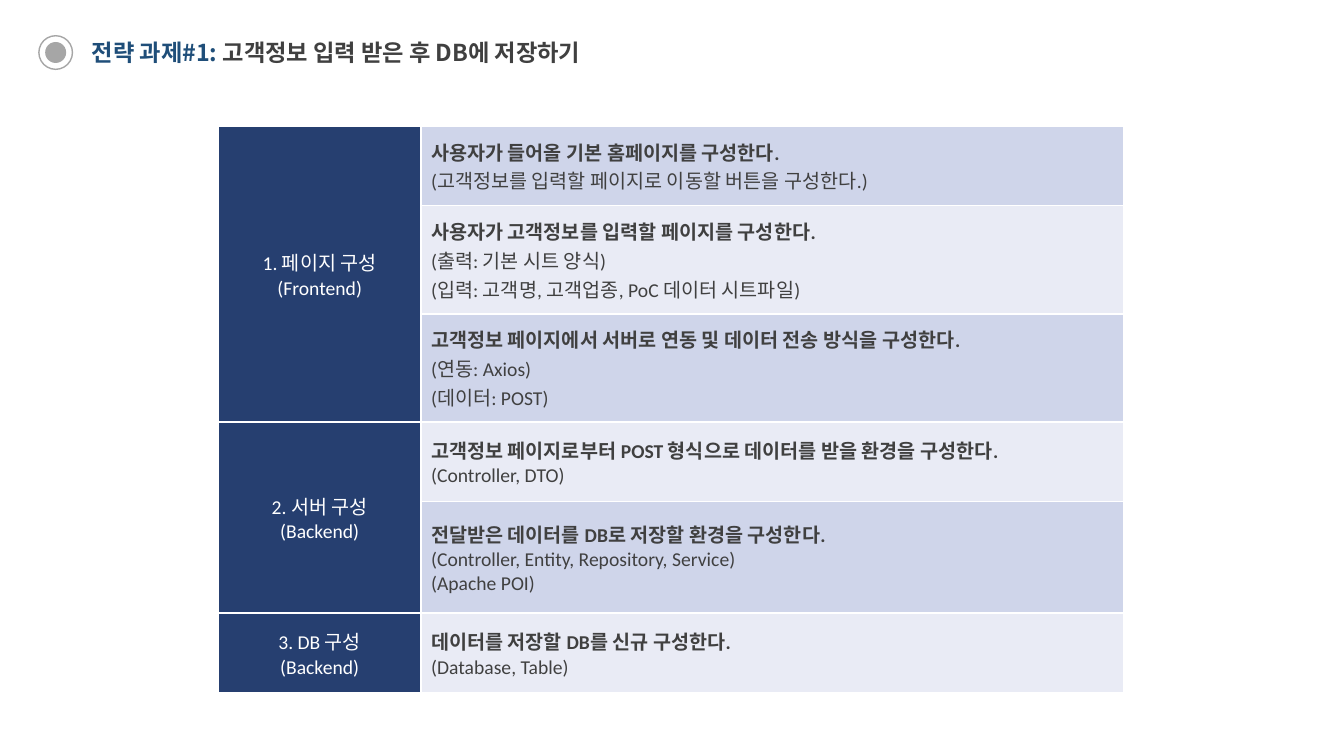
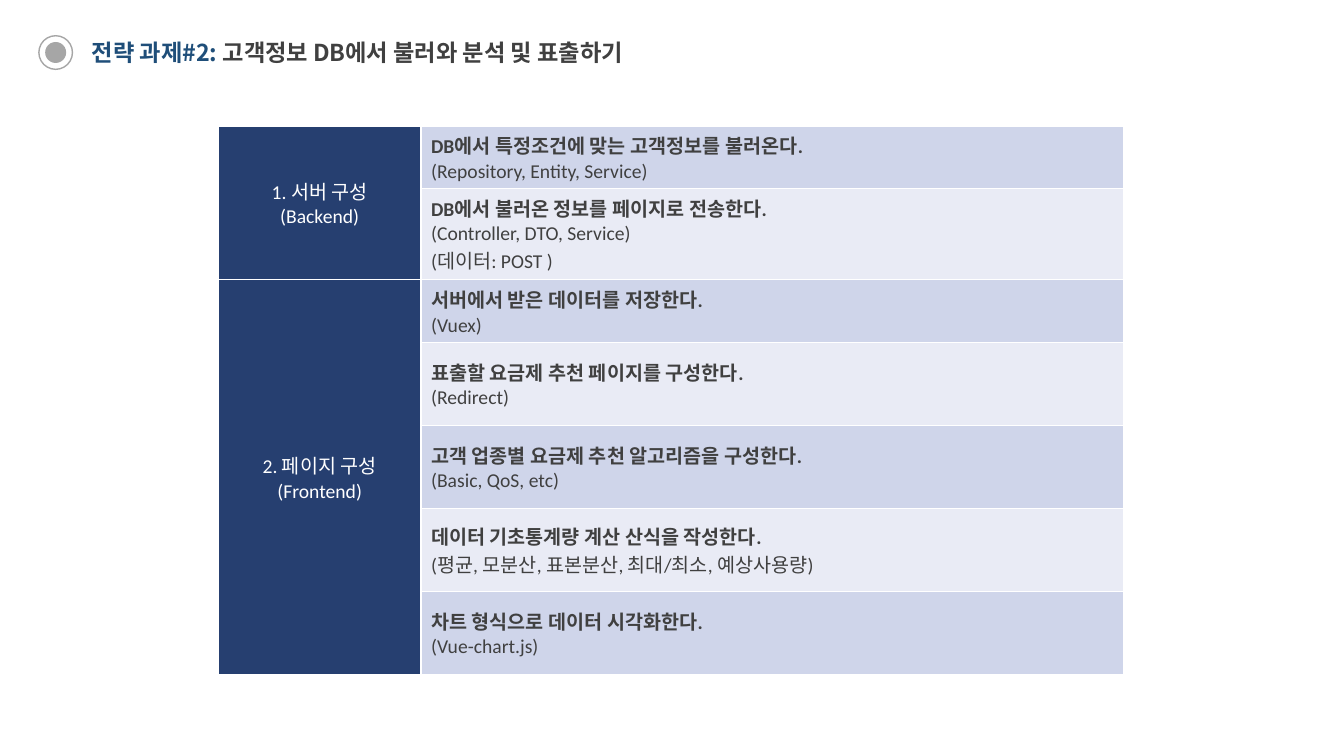
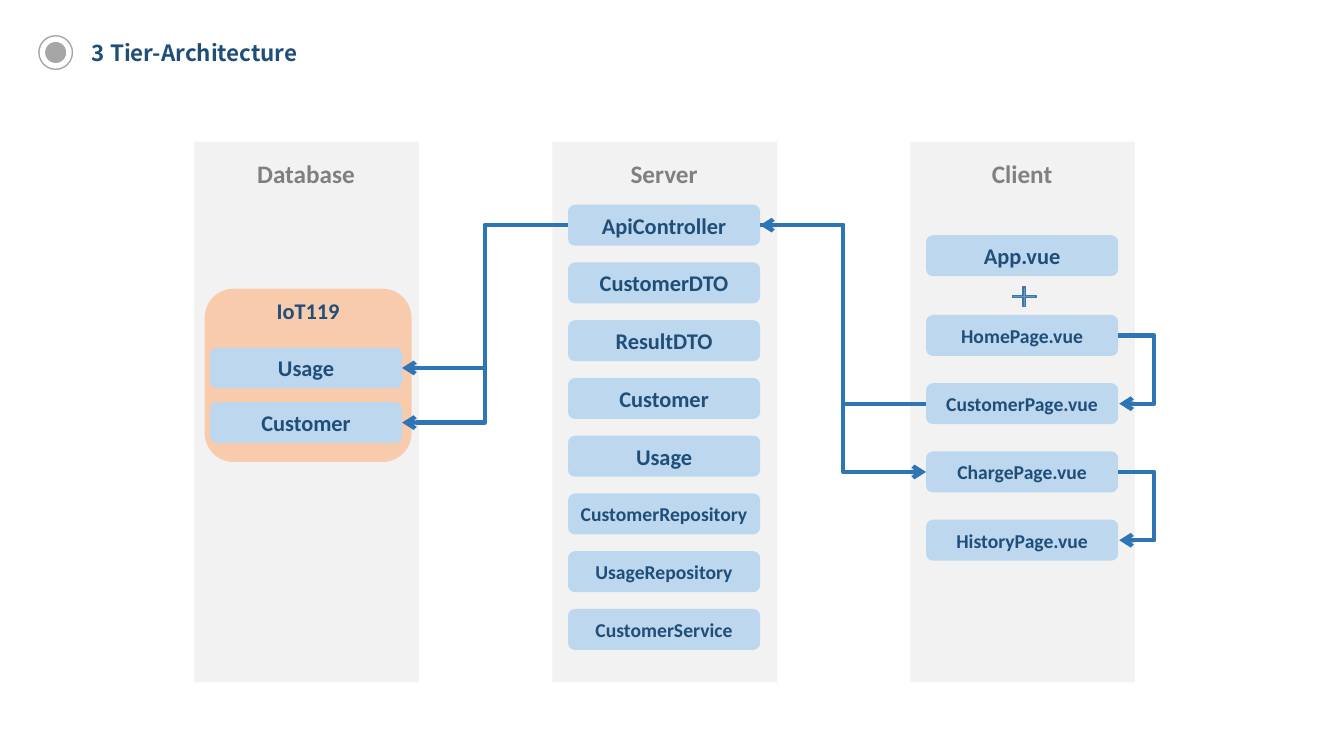
from lxml.etree import SubElement
from pptx import Presentation
from pptx.dml.color import RGBColor
from pptx.enum.shapes import MSO_CONNECTOR, MSO_SHAPE as SHAPE
from pptx.enum.text import MSO_ANCHOR as ANCHOR, MSO_AUTO_SIZE, PP_ALIGN as ALIGN
from pptx.oxml.ns import qn
from pptx.util import Pt

PX = 9525
KOREAN, LATIN = "Noto Sans CJK KR", "Calibri"
COLORS = {
    "navy": "1F4E79", "text": "404040", "white": "FFFFFF", "marker": "A6A6A6",
    "label": "263F70", "band_dark": "CFD5EA", "band_light": "E9EBF5",
    "panel": "F2F2F2", "heading": "808080", "schema": "F8CBAD", "card": "BDD7EE",
    "arrow": "2E75B6", "plus": "5B9BD5", "plus_line": "43739E",
}
RGB = {name: RGBColor.from_string(value) for name, value in COLORS.items()}


def style(run, size, color, bold=False, font=LATIN):
    run.font.size, run.font.bold, run.font.name = Pt(size), bold, font
    run.font.color.rgb = RGB[color]
    SubElement(run.font._element, qn("a:ea"), typeface=KOREAN)


def add_box(slide, kind, box, fill=None, line=None, text="", size=16, color="navy"):
    shape = slide.shapes.add_shape(kind, *(n * PX for n in box))
    shape.shadow.inherit = False
    if fill:
        shape.fill.solid()
        shape.fill.fore_color.rgb = RGB[fill]
    else:
        shape.fill.background()
    if line:
        shape.line.color.rgb, shape.line.width = RGB[line], Pt(1)
    else:
        shape.line.fill.background()
    if text:
        frame = shape.text_frame
        frame.text, frame.word_wrap = text, False
        frame.margin_top = frame.margin_bottom = 0
        frame.vertical_anchor = ANCHOR.MIDDLE
        frame.paragraphs[0].alignment = ALIGN.CENTER
        style(frame.paragraphs[0].runs[0], size, color, bold=True)
    return shape


prs = Presentation()
prs.slide_width, prs.slide_height = 1280 * PX, 720 * PX

# Titles and round markers on every slide
TITLES = [
    (16.6, [("전략 과제#1: ", "navy"), ("고객정보 입력 받은 후 DB에 저장하기", "text")]),
    (16.6, [("전략 과제#2: ", "navy"), ("고객정보 DB에서 불러와 분석 및 표출하기", "text")]),
    (16, [("3 Tier-Architecture", "navy")]),
]
slides = []
for size, parts in TITLES:
    slide = prs.slides.add_slide(prs.slide_layouts[5])
    slides.append(slide)
    add_box(slide, SHAPE.OVAL, (37, 34, 32, 32), line="marker")
    add_box(slide, SHAPE.OVAL, (43, 40, 20, 20), fill="marker")
    title = slide.shapes.title
    title.left, title.top, title.width, title.height = (n * PX for n in (78, 32, 580, 36))
    frame = title.text_frame
    frame.auto_size, frame.vertical_anchor = MSO_AUTO_SIZE.NONE, ANCHOR.MIDDLE
    frame.paragraphs[0].alignment = ALIGN.LEFT
    for text, color in parts:
        run = frame.paragraphs[0].add_run()
        run.text = text
        style(run, size, color, bold=True, font=KOREAN)

# Task tables: each stage has a label and its tasks, a task has a row height and lines
TASK_TABLES = [
    [
        ("1. 페이지 구성\n(Frontend)", [
            (76, "사용자가 들어올 기본 홈페이지를 구성한다.\n"
                 "(고객정보를 입력할 페이지로 이동할 버튼을 구성한다.)"),
            (103, "사용자가 고객정보를 입력할 페이지를 구성한다.\n"
                  "(출력: 기본 시트 양식)\n(입력: 고객명, 고객업종, PoC 데이터 시트파일)"),
            (103, "고객정보 페이지에서 서버로 연동 및 데이터 전송 방식을 구성한다.\n"
                  "(연동: Axios)\n(데이터: POST)"),
        ]),
        ("2. 서버 구성\n(Backend)", [
            (76, "고객정보 페이지로부터 POST 형식으로 데이터를 받을 환경을 구성한다.\n"
                 "(Controller, DTO)"),
            (106, "전달받은 데이터를 DB로 저장할 환경을 구성한다.\n"
                  "(Controller, Entity, Repository, Service)\n(Apache POI)"),
        ]),
        ("3. DB 구성\n(Backend)", [
            (76, "데이터를 저장할 DB를 신규 구성한다.\n(Database, Table)"),
        ]),
    ],
    [
        ("1. 서버 구성\n(Backend)", [
            (59, "DB에서 특정조건에 맞는 고객정보를 불러온다.\n(Repository, Entity, Service)"),
            (87, "DB에서 불러온 정보를 페이지로 전송한다.\n"
                 "(Controller, DTO, Service)\n(데이터: POST )"),
        ]),
        ("2. 페이지 구성\n(Frontend)", [
            (59, "서버에서 받은 데이터를 저장한다.\n(Vuex)"),
            (79, "표출할 요금제 추천 페이지를 구성한다.\n(Redirect)"),
            (79, "고객 업종별 요금제 추천 알고리즘을 구성한다.\n(Basic, QoS, etc)"),
            (79, "데이터 기초통계량 계산 산식을 작성한다.\n"
                 "(평균, 모분산, 표본분산, 최대/최소, 예상사용량)"),
            (79, "차트 형식으로 데이터 시각화한다.\n(Vue-chart.js)"),
        ]),
    ],
]
for slide, stages in zip(slides, TASK_TABLES):
    tasks = [task for _, stage_tasks in stages for task in stage_tasks]
    total = sum(height for height, _ in tasks)
    table = slide.shapes.add_table(len(tasks), 2, 208 * PX, 120 * PX, 862 * PX, total * PX).table
    table.first_row = table.horz_banding = False
    table.columns[0].width, table.columns[1].width = 193 * PX, 669 * PX

    # Cell texts and fills
    labels = {}
    first = 0
    for label, stage_tasks in stages:
        labels[first] = label
        last = first + len(stage_tasks) - 1
        if last > first:
            table.cell(first, 0).merge(table.cell(last, 0))
        first = last + 1
    for row, (height, task) in enumerate(tasks):
        table.rows[row].height = height * PX
        band = "band_light" if row % 2 else "band_dark"
        for column, text, fill in ((0, labels.get(row), "label"), (1, task, band)):
            cell = table.cell(row, column)
            cell.fill.solid()
            cell.fill.fore_color.rgb = RGB[fill]
            if not text:
                continue
            cell.text_frame.text = text
            cell.vertical_anchor = ANCHOR.MIDDLE
            for number, paragraph in enumerate(cell.text_frame.paragraphs):
                paragraph.alignment = ALIGN.LEFT if column else ALIGN.CENTER
                style(paragraph.runs[0], 14, "text" if column else "white",
                      bold=column == 1 and number == 0)

# Architecture: three tiers with cards (name, top, text size)
SERVER_NAMES = ["ApiController", "CustomerDTO", "ResultDTO", "Customer", "Usage",
                "CustomerRepository", "UsageRepository", "CustomerService"]
PAGE_NAMES = ["HomePage.vue", "CustomerPage.vue", "ChargePage.vue", "HistoryPage.vue"]
TIERS = [
    ("Database", [("Usage", 331, 16), ("Customer", 383, 16)]),
    ("Server", [(name, 195 + 55 * i, 16 if i < 5 else 14)
                for i, name in enumerate(SERVER_NAMES)]),
    ("Client", [("App.vue", 224, 16)]
     + [(name, 300 + 65 * i, 14) for i, name in enumerate(PAGE_NAMES)]),
]
architecture = slides[2]
cards = {}
for number, (tier, tier_cards) in enumerate(TIERS):
    left = 185 + 341 * number
    add_box(architecture, SHAPE.RECTANGLE, (left, 135, 214, 515), "panel")
    add_box(architecture, SHAPE.RECTANGLE, (left + 15, 146, 183, 38),
            text=tier, size=18, color="heading")
    if tier == "Database":
        schema = add_box(architecture, SHAPE.ROUNDED_RECTANGLE, (195, 275, 197, 165),
                         "schema", text="IoT119")
        schema.text_frame.vertical_anchor = ANCHOR.TOP
    for name, top, size in tier_cards:
        cards[tier, name] = add_box(architecture, SHAPE.ROUNDED_RECTANGLE,
                                    (left + 15, top, 183, 39), "card", text=name, size=size)

plus = add_box(architecture, SHAPE.MATH_PLUS, (960, 270, 31, 25), "plus", "plus_line")
plus.adjustments[0] = 0.08

# Arrows: start card and side, end card and side
LEFT, RIGHT = 1, 3
api = cards["Server", "ApiController"]
home, customer_page, charge, history = (cards["Client", name] for name in PAGE_NAMES)
ARROWS = [
    (home, RIGHT, customer_page, RIGHT),
    (customer_page, LEFT, api, RIGHT),
    (charge, RIGHT, history, RIGHT),
    (api, LEFT, cards["Database", "Usage"], RIGHT),
    (api, LEFT, cards["Database", "Customer"], RIGHT),
    (api, RIGHT, charge, LEFT),
]
for start, start_side, end, end_side in ARROWS:
    ends = []
    for card, side in ((start, start_side), (end, end_side)):
        ends += [card.left + (card.width if side == RIGHT else 0), card.top + card.height // 2]
    loops = start_side == end_side
    if loops:
        ends[2] += PX
    arrow = architecture.shapes.add_connector(MSO_CONNECTOR.ELBOW, *ends)
    if loops:
        # The bend lies 35 px outside, as a multiple of the 1 px width
        guides = arrow._element.spPr.find(qn("a:prstGeom")).get_or_add_avLst()
        SubElement(guides, qn("a:gd"), name="adj1", fmla="val 3500000")
    else:
        arrow.begin_connect(start, start_side)
        arrow.end_connect(end, end_side)
    arrow.line.color.rgb, arrow.line.width = RGB["arrow"], Pt(3)
    SubElement(arrow.line._get_or_add_ln(), qn("a:tailEnd"), type="arrow")
    SubElement(arrow._element.spPr, qn("a:effectLst"))

prs.save("out.pptx")
